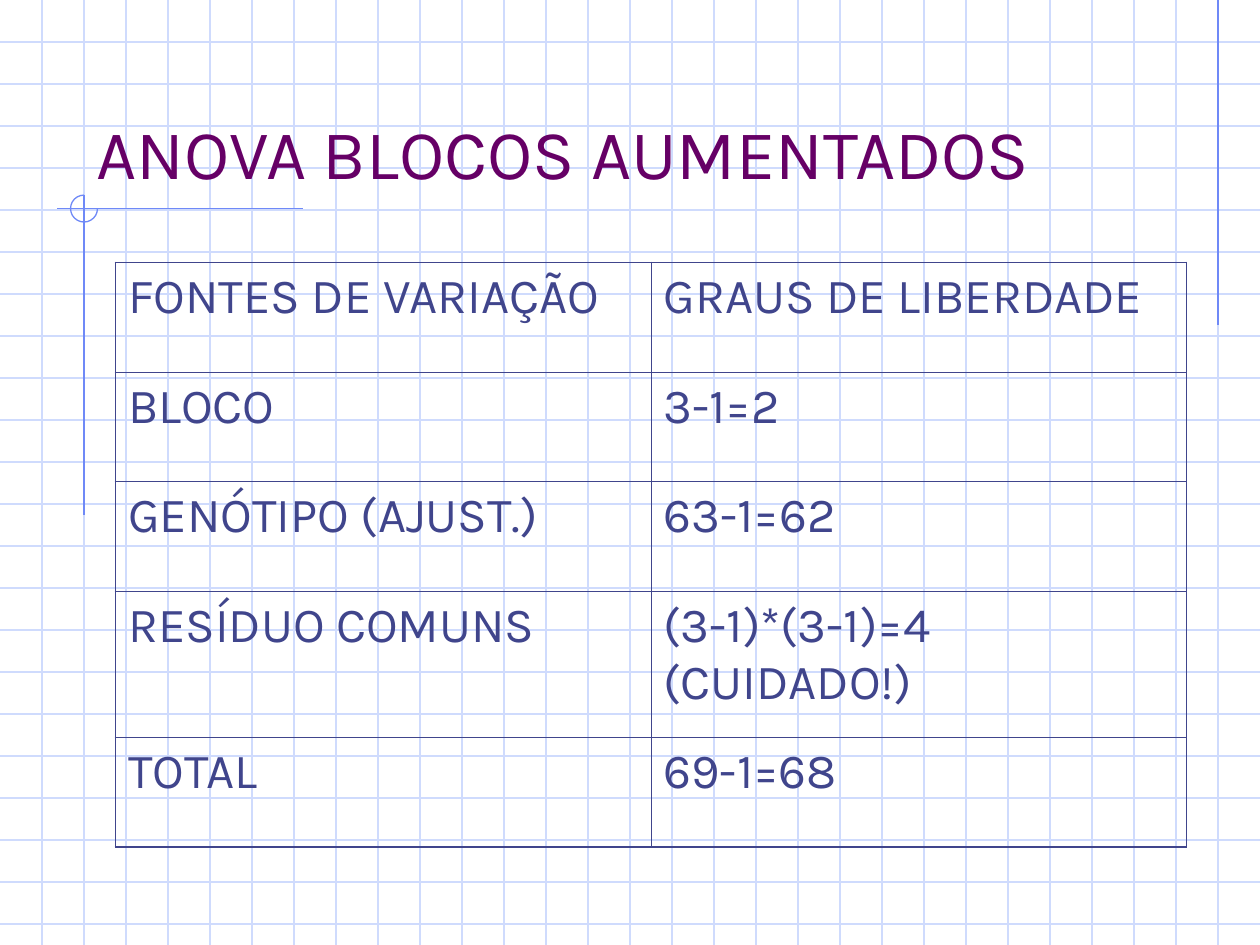
import pptx
import pptx.dml.color
import pptx.enum.shapes
import pptx.enum.text
import pptx.oxml
import pptx.util
from lxml import etree

Pt = pptx.util.Pt
SLIDE_WIDTH, SLIDE_HEIGHT = 720, 540
GRID_STEP = 24
COLORS = {"grid": "CFDBFD", "accent": "6F89F7", "title": "660066", "table": "40458C"}
TITLE_FONT = {"name": "Karla", "size": Pt(40), "bold": False}
CELL_FONT = {"name": "Karla", "size": Pt(28), "bold": False}
TITLE_BOX = {"left": Pt(48), "top": Pt(24), "width": Pt(612), "height": Pt(90)}
ANOVA_ROWS = [
    ("FONTES DE VARIAÇÃO", "GRAUS DE LIBERDADE"),
    ("BLOCO", "3-1=2"),
    ("GENÓTIPO (AJUST.)", "63-1=62"),
    ("RESÍDUO COMUNS", "(3-1)*(3-1)=4 (CUIDADO!)"),
    ("TOTAL", "69-1=68"),
]
ROW_HEIGHTS = [62.6, 62.6, 62.6, 83.5, 62.6]
COLUMN_WIDTH = 306
OUTER_BORDER, INNER_BORDER = 1.08, 0.45


def rgb(color):
    return pptx.dml.color.RGBColor.from_string(COLORS[color])


def set_attributes(target, values):
    for name, value in values.items():
        setattr(target, name, value)


def format_text(paragraph, font_values, color):
    paragraph.alignment = pptx.enum.text.PP_ALIGN.LEFT
    set_attributes(paragraph.font, font_values)
    paragraph.font.color.rgb = rgb(color)


def style_line(shape, color):
    shape.line.color.rgb = rgb(color)
    shape.line.width = Pt(0.75)


def add_line(slide, start, end, color):
    line = slide.shapes.add_connector(
        pptx.enum.shapes.MSO_CONNECTOR.STRAIGHT, *map(Pt, start + end))
    style_line(line, color)
    etree.SubElement(line._element.spPr, pptx.oxml.ns.qn("a:effectLst"))


def add_grid(slide):
    for y in range(GRID_STEP, SLIDE_HEIGHT, GRID_STEP):
        add_line(slide, (0, y), (SLIDE_WIDTH, y), "grid")
    for x in range(GRID_STEP, SLIDE_WIDTH, GRID_STEP):
        add_line(slide, (x, 0), (x, SLIDE_HEIGHT), "grid")


def add_crosshair(slide):
    """Draw the accent lines and the three-quarter circle where two of them cross."""
    add_line(slide, (696, 0), (696, 186), "accent")
    add_line(slide, (173, 119.2), (32.5, 119.2), "accent")
    add_line(slide, (48, 111.5), (48, 294.5), "accent")
    circle = slide.shapes.add_shape(
        pptx.enum.shapes.MSO_SHAPE.ARC, Pt(40.3), Pt(111.5), Pt(15.4), Pt(15.4))
    circle.adjustments[0] = 0
    circle.adjustments[1] = 162  # 270 degrees
    circle.fill.background()
    circle.shadow.inherit = False
    style_line(circle, "accent")


def add_title(slide, text):
    """Fill the title placeholder and bring it in front of the grid."""
    title = slide.shapes.title
    slide.shapes._spTree.append(title._element)
    set_attributes(title, TITLE_BOX)
    title.text_frame.text = text
    title.text_frame.vertical_anchor = pptx.enum.text.MSO_ANCHOR.BOTTOM
    format_text(title.text_frame.paragraphs[0], TITLE_FONT, "title")


def add_border(cell, side, width):
    properties = cell._tc.get_or_add_tcPr()
    border = etree.SubElement(
        properties, pptx.oxml.ns.qn(f"a:ln{side}"), w=str(int(Pt(width))))
    fill = etree.SubElement(border, pptx.oxml.ns.qn("a:solidFill"))
    etree.SubElement(fill, pptx.oxml.ns.qn("a:srgbClr"), val=COLORS["table"])


def add_anova_table(slide):
    row_count, column_count = len(ANOVA_ROWS), len(ANOVA_ROWS[0])
    table = slide.shapes.add_table(
        row_count, column_count, Pt(66), Pt(150),
        Pt(COLUMN_WIDTH * column_count), Pt(sum(ROW_HEIGHTS))).table
    table.first_row = table.horz_banding = False
    for row, height in zip(table.rows, ROW_HEIGHTS):
        row.height = Pt(height)
    for r, texts in enumerate(ANOVA_ROWS):
        for c, text in enumerate(texts):
            cell = table.cell(r, c)
            cell.text = text
            format_text(cell.text_frame.paragraphs[0], CELL_FONT, "table")
            on_edge = {"L": c == 0, "R": c == column_count - 1,
                       "T": r == 0, "B": r == row_count - 1}
            for side, outer in on_edge.items():
                add_border(cell, side, OUTER_BORDER if outer else INNER_BORDER)
            cell.fill.background()


def main():
    presentation = pptx.Presentation()
    presentation.slide_width = Pt(SLIDE_WIDTH)
    presentation.slide_height = Pt(SLIDE_HEIGHT)
    slide = presentation.slides.add_slide(presentation.slide_layouts[5])
    add_grid(slide)
    add_crosshair(slide)
    add_title(slide, "ANOVA BLOCOS AUMENTADOS")
    add_anova_table(slide)
    presentation.save("out.pptx")


if __name__ == "__main__":
    main()
